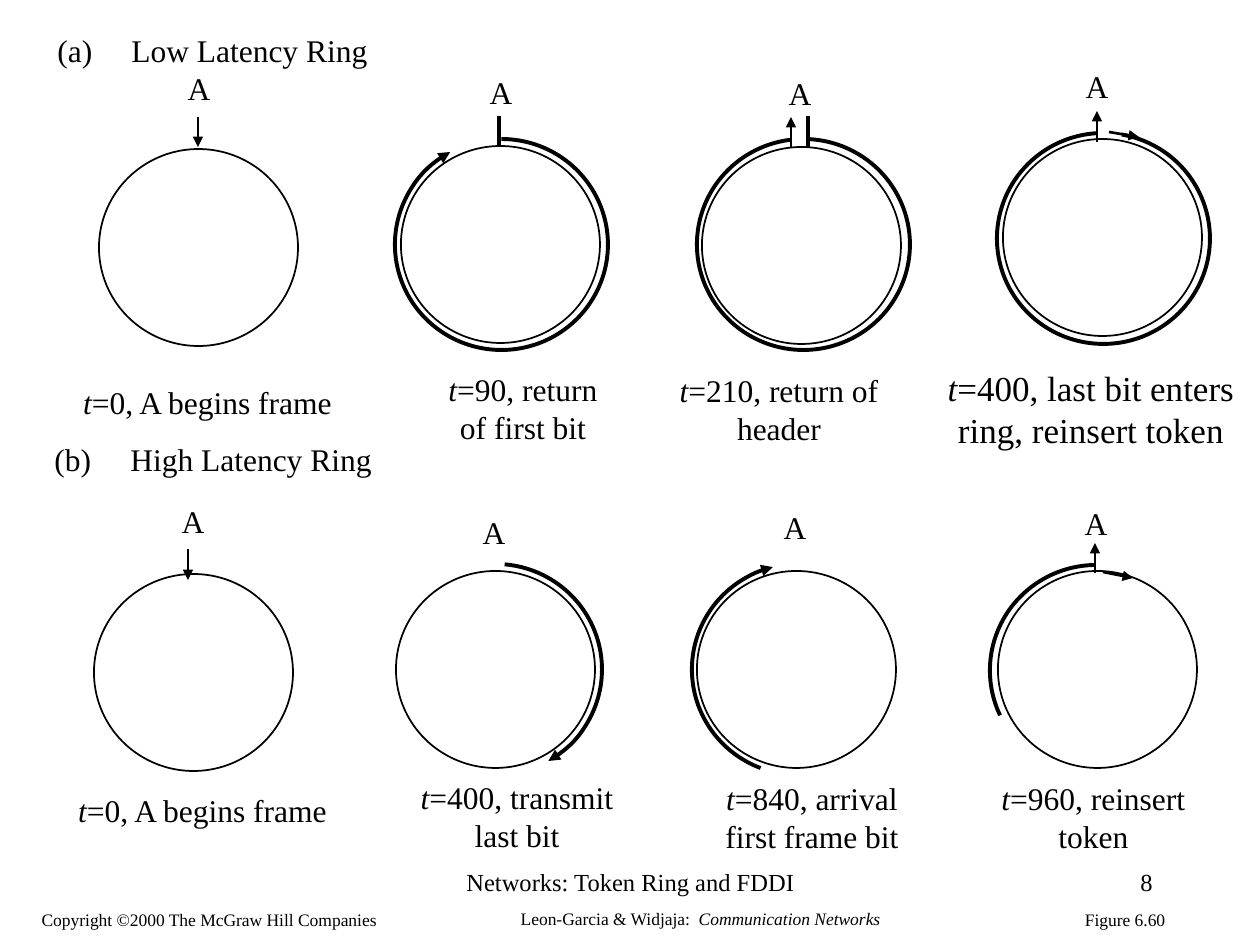
"""Build the slide comparing low and high latency token rings."""
from lxml import etree
from pptx import Presentation
from pptx import util as u
from pptx.dml.color import RGBColor
from pptx.enum import shapes, text
from pptx.oxml.ns import qn

PX = 914400 // 126
RING, ARC = (199, 197), (213, 211)
LABEL = (48, 50)
ALIGN = {"l": text.PP_ALIGN.LEFT, "c": text.PP_ALIGN.CENTER, "r": text.PP_ALIGN.RIGHT}

HEADINGS = [
    (45, 25, 360, 74, "(a)", "Low Latency Ring"),
    (42, 434, 360, 76, "(b)", "High Latency Ring"),
]
RINGS = [
    dict(ring=(99, 149), label=(175, 63), caption=((69, 377, 277, 50), 18, ["=0, A begins frame"]),
         marks=[(198, 117, 198, 147, 1.5, "tail")]),
    dict(ring=(401, 146), label=(477, 67), caption=((436, 364, 174, 88), 18, ["=90, return", "of first bit"]),
         marks=[(499, 116, 499, 147, 2.25, None)], arc=((501, 244), 270, 241, "tail")),
    dict(ring=(702, 147), label=(776, 68), caption=((636, 365, 286, 88), 18, ["=210, return of header"]),
         marks=[(791, 117, 791, 148, 1.5, "head"), (808, 116, 808, 147, 2.25, None)],
         arc=((803, 244), 272, 263, None)),
    dict(ring=(1003, 139), label=(1073, 61),
         caption=((907, 360, 368, 97), 20, ["=400, last bit enters ring, reinsert token"]),
         marks=[(1097, 111, 1097, 142, 1.5, "head"), (1109, 132, 1139, 137, 1.5, "tail")],
         arc=((1103, 238), 280, 267, None)),
    dict(ring=(94, 574), label=(169, 496), caption=((64, 785, 277, 50), 18, ["=0, A begins frame"]),
         marks=[(188, 549, 188, 580, 1.5, "tail")]),
    dict(ring=(396, 571), label=(470, 507), caption=((408, 772, 218, 88), 18, ["=400, transmit", "last bit"]),
         arc=((495, 669), 275, 60, "tail")),
    dict(ring=(697, 571), label=(771, 502), caption=((713, 773, 198, 88), 18, ["=840, arrival", "first frame bit"]),
         arc=((798, 669), 111, 256, "tail")),
    dict(ring=(998, 571), label=(1072, 498), caption=((989, 773, 209, 88), 18, ["=960, reinsert", "token"]),
         marks=[(1095, 543, 1095, 573, 1.5, "head"), (1103, 572, 1133, 578, 1.5, "tail")],
         arc=((1096, 670), 155, 269, None)),
]
FOOTERS = [
    ((431, 861, 399, 63), 14, "c", "t", [("Networks: Token Ring and FDDI", False)]),
    ((903, 861, 262, 63), 14, "r", "t", [("8", False)]),
    ((1072, 903, 106, 34), 10, "c", "m", [("Figure 6.60", False)]),
    ((508, 901, 385, 34), 10, "c", "m",
     [("Leon-Garcia & Widjaja:  ", False), ("Communication Networks", True)]),
    ((29, 903, 360, 34), 10, "c", "m", [("Copyright ©2000 The McGraw Hill Companies", False)]),
]


def px(*values):
    return [u.Emu(v * PX) for v in values]


def color(value):
    return RGBColor.from_string(value)


def set_all(obj, **values):
    for name, value in values.items():
        setattr(obj, name, value)


def stroke(sp, width, arrow=None):
    sp.line.width = u.Pt(width)
    sp.line.fill.solid()
    sp.line.fill.fore_color.rgb = color("000000")
    if arrow:
        etree.SubElement(sp.line._get_or_add_ln(), qn(f"a:{arrow}End"), type="triangle")


def add_text(s, box, size, paragraphs, align="c", anchor="m", wrap=False, tab=None):
    tf = s.shapes.add_textbox(*px(*box)).text_frame
    set_all(tf, word_wrap=wrap,
            vertical_anchor=text.MSO_ANCHOR.MIDDLE if anchor == "m" else text.MSO_ANCHOR.TOP)
    for i, runs in enumerate(paragraphs):
        p = tf.add_paragraph() if i else tf.paragraphs[0]
        p.alignment = ALIGN[align]
        if tab:
            tabs = etree.SubElement(p._p.get_or_add_pPr(), qn("a:tabLst"))
            etree.SubElement(tabs, qn("a:tab"), pos=str(tab * PX), algn="l")
        for words, italic in runs:
            r = p.add_run()
            r.text = words
            set_all(r.font, name="Times New Roman", size=u.Pt(size), italic=italic)
            r.font.color.rgb = color("000000")


def add_ring(s, left, top):
    sp = s.shapes.add_shape(shapes.MSO_SHAPE.OVAL, *px(left, top, *RING))
    sp.shadow.inherit = False
    sp.fill.solid()
    sp.fill.fore_color.rgb = color("FFFFFF")
    stroke(sp, 1)


def add_arc(s, center, start, end, arrow):
    left, top = (c - size // 2 for c, size in zip(center, ARC))
    sp = s.shapes.add_shape(shapes.MSO_SHAPE.ARC, *px(left, top, *ARC))
    sp.shadow.inherit = False
    sp.fill.background()
    for i, angle in enumerate((start, end)):
        sp.adjustments[i] = angle * 0.6
    stroke(sp, 2.25, arrow)


def add_mark(s, x1, y1, x2, y2, width, arrow):
    sp = s.shapes.add_connector(shapes.MSO_CONNECTOR.STRAIGHT, *px(x1, y1, x2, y2))
    stroke(sp, width, arrow)
    etree.SubElement(sp._element.spPr, qn("a:effectLst"))


def main():
    prs = Presentation()
    set_all(prs, slide_width=u.Inches(10), slide_height=u.Inches(7.5))
    s = prs.slides.add_slide(prs.slide_layouts[6])
    for left, top, width, tab, letter, title in HEADINGS:
        add_text(s, (left, top, width, 50), 18, [[(f"{letter}\t{title}", False)]], "l", wrap=True, tab=tab)
    for state in RINGS:
        add_ring(s, *state["ring"])
        add_text(s, state["label"] + LABEL, 18, [[("A", False)]])
        for mark in state.get("marks", []):
            add_mark(s, *mark)
        if "arc" in state:
            add_arc(s, *state["arc"])
        box, size, lines = state["caption"]
        paragraphs = [[(line, False)] for line in lines]
        paragraphs[0].insert(0, ("t", True))
        add_text(s, box, size, paragraphs, wrap=box[2] > 280)
    for box, size, align, anchor, runs in FOOTERS:
        add_text(s, box, size, [runs], align, anchor, wrap=anchor == "t")
    prs.save("out.pptx")


if __name__ == "__main__":
    main()
